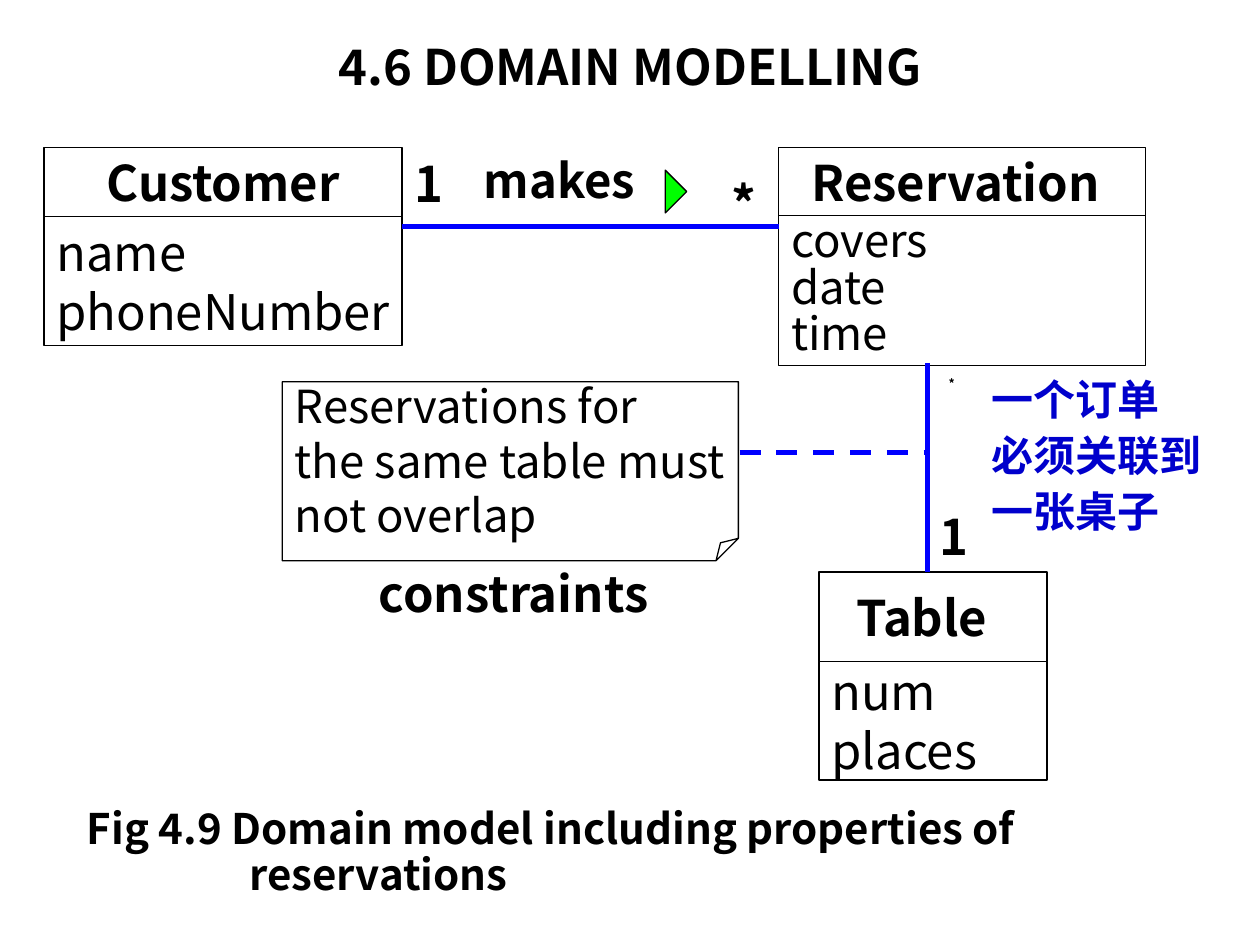
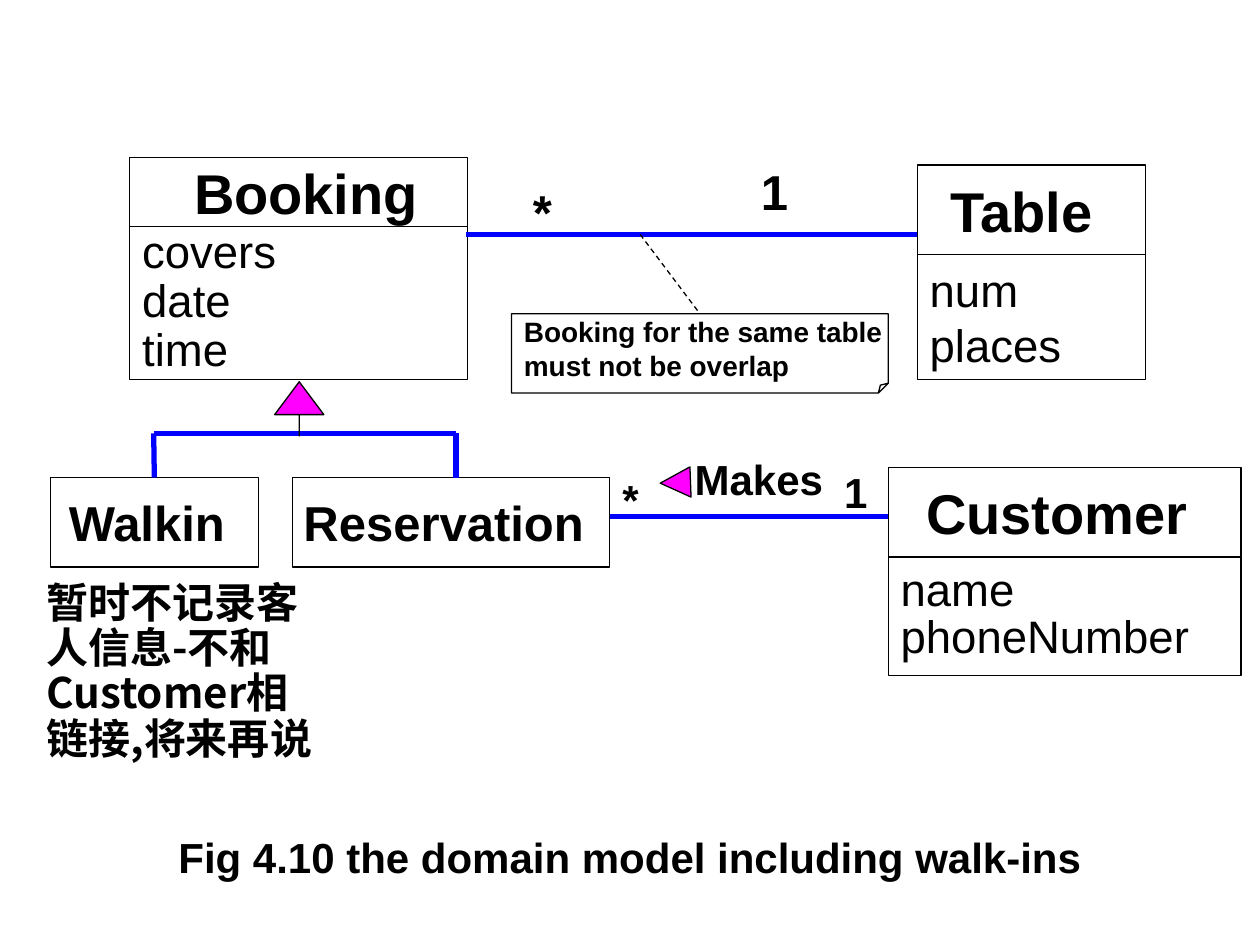
from typing import NamedTuple, Optional

from lxml import etree
from pptx import Presentation
from pptx.dml.color import RGBColor
from pptx.enum import dml, shapes, text
from pptx.oxml.ns import qn
from pptx.util import Inches, Pt

# Shared look
BLACK, WHITE, BLUE, NAVY = "000000", "FFFFFF", "0000FF", "0000CC"
GREEN, MAGENTA = "00FF00", "FF00FF"
CJK, ARIAL = "Noto Sans CJK SC", "Arial"
SHAPE = shapes.MSO_SHAPE
LEFT, CENTER, RIGHT = text.PP_ALIGN.LEFT, text.PP_ALIGN.CENTER, text.PP_ALIGN.RIGHT


class Style(NamedTuple):
    font: str
    size: float
    bold: bool = True
    color: str = BLACK
    align: text.PP_ALIGN = LEFT
    spacing: float = 1.0
    before: float = 0


class ClassBox(NamedTuple):
    name: str
    x: float
    y: float
    w: float
    head_h: float
    name_size: float = 28
    shift: float = 0  # sideways offset of the centred name
    attributes: tuple[str, ...] = ()
    body_h: float = 0
    body_size: float = 26
    spacing: float = 1.0
    fill: Optional[str] = None


class Label(NamedTuple):
    lines: tuple[str, ...]
    x: float
    y: float
    w: float
    h: float
    style: Style


class Line(NamedTuple):
    x1: float
    y1: float
    x2: float
    y2: float
    color: str = BLUE
    width: float = 3
    dashed: bool = False


def rgb(value: str) -> RGBColor:
    return RGBColor.from_string(value)


def write(tf, lines, style: Style) -> None:
    """Fill a text frame, one paragraph per line."""
    for i, line in enumerate(lines):
        p = tf.paragraphs[0] if i == 0 else tf.add_paragraph()
        formats = {"alignment": style.align, "line_spacing": style.spacing,
                   "space_before": Pt(style.before if i else 0)}
        for key, value in formats.items():
            setattr(p, key, value)
        r = p.add_run()
        r.text = line
        r.font.color.rgb = rgb(style.color)
        for key, value in {"name": style.font, "size": Pt(style.size), "bold": style.bold}.items():
            setattr(r.font, key, value)
        etree.SubElement(r.font._element, qn("a:ea"), typeface=style.font)


def add_shape(slide, kind, x: float, y: float, w: float, h: float,
              fill: Optional[str] = None, rotation: float = 0):
    """Add a preset shape with a thin black outline."""
    sp = slide.shapes.add_shape(kind, *map(Inches, (x, y, w, h)))
    sp.shadow.inherit = False
    sp.rotation = rotation
    if fill:
        sp.fill.solid()
        sp.fill.fore_color.rgb = rgb(fill)
    else:
        sp.fill.background()
    sp.line.color.rgb = rgb(BLACK)
    sp.line.width = Pt(0.75)
    return sp


def adjust(sp, **guides: int) -> None:
    """Set shape guides by name, in thousandths of a percent."""
    geometry = sp._element.spPr.find(qn("a:prstGeom"))
    for old in geometry.findall(qn("a:avLst")):
        geometry.remove(old)
    values = etree.SubElement(geometry, qn("a:avLst"))
    for name, value in guides.items():
        etree.SubElement(values, qn("a:gd"), name=name, fmla=f"val {value}")


def fill_shape(sp, lines, style: Style, shift: float = 0) -> None:
    tf = sp.text_frame
    formats = {"word_wrap": False, "vertical_anchor": text.MSO_ANCHOR.MIDDLE,
               "margin_left": Inches(0.1 + shift), "margin_right": Inches(0.1 - shift)}
    for key, value in formats.items():
        setattr(tf, key, value)
    write(tf, lines, style)


def add_class(slide, box: ClassBox, font: str):
    """Draw a class and return its name compartment."""
    head = add_shape(slide, SHAPE.RECTANGLE, box.x, box.y, box.w, box.head_h, box.fill)
    fill_shape(head, [box.name], Style(font, box.name_size, align=CENTER), box.shift)
    if box.attributes:
        body = add_shape(slide, SHAPE.RECTANGLE, box.x, box.y + box.head_h,
                         box.w, box.body_h, box.fill)
        fill_shape(body, box.attributes, Style(font, box.body_size, False, spacing=box.spacing))
    return head


def add_note(slide, lines, x: float, y: float, w: float, h: float, style: Style):
    sp = add_shape(slide, SHAPE.FOLDED_CORNER, x, y, w, h)
    adjust(sp, adj=12500)
    fill_shape(sp, lines, style)
    return sp


def add_label(slide, label: Label) -> None:
    tb = slide.shapes.add_textbox(*map(Inches, (label.x, label.y, label.w, label.h)))
    tb.text_frame.word_wrap = True
    write(tb.text_frame, label.lines, label.style)


def add_line(slide, line: Line):
    cx = slide.shapes.add_connector(shapes.MSO_CONNECTOR.STRAIGHT, *map(Inches, line[:4]))
    etree.SubElement(cx._element.spPr, qn("a:effectLst"))
    cx.line.color.rgb = rgb(line.color)
    cx.line.width = Pt(line.width)
    if line.dashed:
        cx.line.dash_style = dml.MSO_LINE.DASH
    return cx


def place(ph, x: float, y: float, w: float, h: float) -> None:
    ph.left, ph.top, ph.width, ph.height = map(Inches, (x, y, w, h))
    ph.text_frame.auto_size = text.MSO_AUTO_SIZE.NONE


def add_caption(slide, lines, x: float, y: float, w: float, h: float,
                style: Style, next_indent: float = 0) -> None:
    """Put the figure caption in the body placeholder, without bullets."""
    ph = slide.placeholders[1]
    place(ph, x, y, w, h)
    write(ph.text_frame, lines, style)
    for i, p in enumerate(ph.text_frame.paragraphs):
        pPr = p._p.get_or_add_pPr()
        pPr.set("marL", str(Inches(next_indent if i else 0)))
        pPr.set("indent", "0")
        etree.SubElement(pPr, qn("a:buNone"))


def build_reservations(prs) -> None:
    slide = prs.slides.add_slide(prs.slide_layouts[1])
    bold = Style(CJK, 28)

    # Title and caption
    place(slide.shapes.title, 0.5, 0.14, 9, 0.77)
    write(slide.shapes.title.text_frame, ["4.6 DOMAIN MODELLING"], bold._replace(align=CENTER))
    add_caption(slide, ["Fig 4.9 Domain model including properties of", "reservations"],
                0.59, 6.43, 8.35, 0.79, Style(CJK, 24, spacing=0.7, before=6), 1.29)

    # Classes and constraint
    for box in (
        ClassBox("Reservation", 6.18, 1.17, 2.91, 0.54, shift=-0.05,
                 attributes=("covers", "date", "time"), body_h=1.19, spacing=0.85),
        ClassBox("Table", 6.5, 4.54, 1.81, 0.71, shift=-0.09,
                 attributes=("num", "places"), body_h=0.94, body_size=28),
        ClassBox("Customer", 0.35, 1.17, 2.84, 0.55,
                 attributes=("name", "phoneNumber"), body_h=1.02, body_size=28),
    ):
        add_class(slide, box, CJK)
    add_note(slide, ["Reservations for", "the same table must", "not overlap"],
             2.24, 3.03, 3.62, 1.42, Style(CJK, 26, False))

    # Associations
    for line in (Line(3.19, 1.8, 6.18, 1.8), Line(7.36, 2.88, 7.36, 4.54),
                 Line(5.87, 3.59, 7.36, 3.59, dashed=True)):
        add_line(slide, line)
    add_shape(slide, SHAPE.RIGHT_TRIANGLE, 5.16, 1.4, 0.24, 0.24, GREEN, 225)

    # Multiplicities and remarks
    for label in (
        Label(("1",), 3.19, 1.17, 0.31, 0.57, bold),
        Label(("*",), 5.71, 1.33, 0.31, 0.57, bold),
        Label(("makes",), 3.74, 1.15, 1.42, 0.57, Style(CJK, 27)),
        Label(("*",), 7.43, 2.96, 0.31, 0.24, Style(CJK, 7, spacing=0.8)),
        Label(("1",), 7.36, 3.97, 0.31, 0.57, bold),
        Label(("constraints",), 2.91, 4.42, 2.4, 0.57, bold),
        Label(("一个订单", "必须关联到", "一张桌子"), 7.77, 2.96, 2.1, 1.35,
              Style(CJK, 24, color=NAVY, spacing=0.9, before=6)),
    ):
        add_label(slide, label)


def build_walk_ins(prs) -> None:
    slide = prs.slides.add_slide(prs.slide_layouts[1])
    title = slide.shapes.title._element
    title.getparent().remove(title)
    large, small = Style(ARIAL, 28), Style(ARIAL, 24)

    # Caption
    add_caption(slide, ["Fig 4.10 the domain model including walk-ins"], 0.5, 6.63, 9, 0.51,
                small._replace(align=CENTER, spacing=0.8))

    # Classes and constraint
    heads = {box.name: add_class(slide, box, ARIAL) for box in (
        ClassBox("Booking", 1.03, 1.25, 2.68, 0.55, 32, 0.06,
                 ("covers", "date", "time"), 1.21, spacing=0.9),
        ClassBox("Table", 7.28, 1.31, 1.81, 0.71, 32, -0.08, ("num", "places"), 0.99),
        ClassBox("Customer", 7.05, 3.71, 2.8, 0.71, 32, -0.06,
                 ("name", "phoneNumber"), 0.94, spacing=0.85, fill=WHITE),
        ClassBox("Reservation", 2.32, 3.79, 2.52, 0.71, shift=-0.06, fill=WHITE),
        ClassBox("Walkin", 0.4, 3.79, 1.65, 0.71, shift=-0.06, fill=WHITE),
    )}
    note = add_note(slide, ["Booking for the same table", "must not be overlap"],
                    4.06, 2.49, 2.99, 0.63, Style(ARIAL, 16))

    # Associations
    for line in (Line(3.7, 1.86, 7.28, 1.86), Line(4.84, 4.1, 7.05, 4.1)):
        add_line(slide, line)
    add_line(slide, Line(5.08, 1.86, 5.55, 2.49, BLACK, 0.75, True)).end_connect(note, 0)
    add_shape(slide, SHAPE.ISOSCELES_TRIANGLE, 5.24, 3.71, 0.24, 0.24, MAGENTA, 267.8)

    # Generalisation tree
    add_line(slide, Line(1.22, 3.44, 3.62, 3.44))
    add_line(slide, Line(1.22, 3.44, 1.22, 3.79)).end_connect(heads["Walkin"], 0)
    add_line(slide, Line(3.62, 3.44, 3.62, 3.79))
    arrow = add_shape(slide, SHAPE.UP_ARROW, 2.18, 3.03, 0.39, 0.43, MAGENTA)
    adjust(arrow, adj1=0, adj2=67000)

    # Multiplicities and remarks
    for label in (
        Label(("1",), 5.94, 1.23, 0.31, 0.57, large),
        Label(("*",), 4.13, 1.39, 0.31, 0.57, large),
        Label(("Makes",), 5.32, 3.55, 1.31, 0.5, small._replace(align=RIGHT)),
        Label(("1",), 6.6, 3.65, 0.31, 0.5, small),
        Label(("*",), 4.84, 3.71, 0.31, 0.5, small),
        Label(("暂时不记录客人信息-不和Customer相链接,将来再说",), 0.27, 4.57, 2.36, 1.9,
              Style(CJK, 24, spacing=0.9)),
    ):
        add_label(slide, label)


def main() -> None:
    prs = Presentation()
    prs.slide_width, prs.slide_height = Inches(10), Inches(7.5)
    build_reservations(prs)
    build_walk_ins(prs)
    prs.save("out.pptx")


if __name__ == "__main__":
    main()
